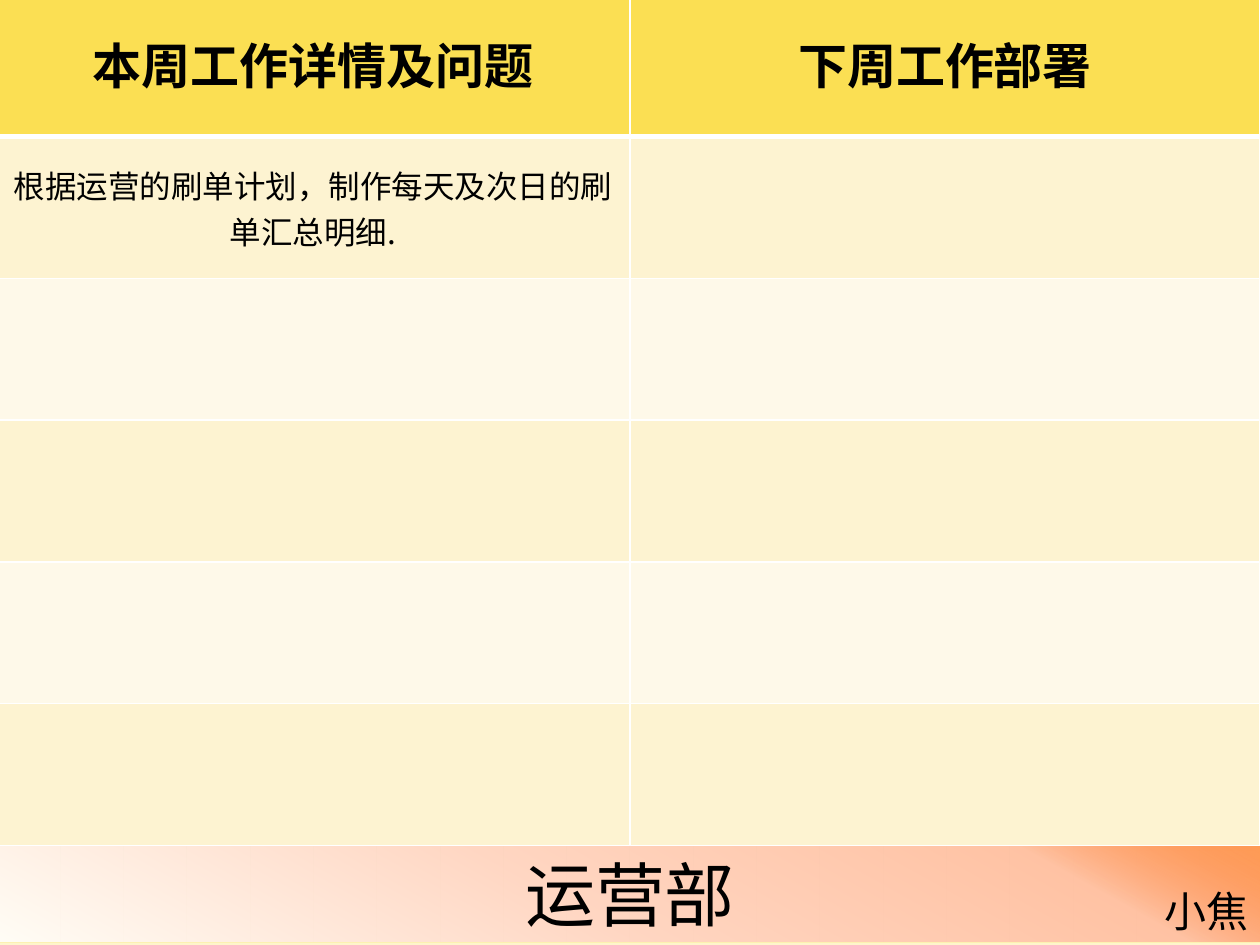
from lxml.etree import SubElement
from pptx import Presentation
from pptx.dml.color import RGBColor
from pptx.enum.shapes import MSO_SHAPE
from pptx.enum.text import MSO_ANCHOR, MSO_AUTO_SIZE, PP_ALIGN
from pptx.oxml import parse_xml
from pptx.oxml.ns import nsdecls, qn
from pptx.util import Inches, Pt

FONT = "Noto Sans CJK SC"
COLORS = {
    "text": "000000", "border": "FFFFFF", "header": "FBDF53",
    "band_dark": "FDF3D1", "band_light": "FEF9E9", "cream": "FFFDF6",
    "butter": "FDF1B2", "pale": "FEF5CB", "blush": "FFD6C2",
    "peach": "FFC2A3", "orange": "FF5D0D",
}
PAGE_STOPS = [(0, "cream", 100), (74, "butter", 100), (83, "butter", 100), (100, "pale", 100)]
FOOTER_STOPS = [(0, "cream", 100), (45, "blush", 100), (83, "peach", 100), (100, "orange", 58)]
HEADINGS = ["本周工作详情及问题", "下周工作部署"]
TASKS = [["根据运营的刷单计划，制作每天及次日的刷单汇总明细."], [], [], [], []]


def rgb(name):
    return RGBColor.from_string(COLORS[name])


def apply_gradient(fill, owner, stops, angle):
    fill.gradient()
    gradient = owner.find(".//" + qn("a:gradFill"))
    stop_list = gradient.find(qn("a:gsLst"))
    for stop in list(stop_list):
        stop_list.remove(stop)
    for position, color, opacity in stops:
        stop = SubElement(stop_list, qn("a:gs"), pos=str(position * 1000))
        shade = SubElement(stop, qn("a:srgbClr"), val=COLORS[color])
        if opacity < 100:
            SubElement(shade, qn("a:alpha"), val=str(opacity * 1000))
    direction = gradient.find(qn("a:lin"))
    direction.set("ang", str(angle * 60000))
    direction.set("scaled", "0")


def write(frame, text, size, align, bold=False):
    paragraph = frame.paragraphs[0]
    paragraph.alignment = align
    run = paragraph.add_run()
    run.text = text
    for key, value in {"name": FONT, "size": Pt(size), "bold": bold}.items():
        setattr(run.font, key, value)
    run.font.color.rgb = rgb("text")
    SubElement(run.font._element, qn("a:ea"), typeface=FONT)


def style_cell(cell, color, top, bottom):
    cell.fill.solid()
    cell.fill.fore_color.rgb = rgb(color)
    cell.vertical_anchor = MSO_ANCHOR.MIDDLE
    sides = {"lnL": 1, "lnR": 1, "lnT": top, "lnB": bottom}
    for index, (side, width) in enumerate(sides.items()):
        cell._tc.get_or_add_tcPr().insert(index, parse_xml(
            f'<a:{side} {nsdecls("a")} w="{Pt(width)}"><a:solidFill>'
            f'<a:srgbClr val="{COLORS["border"]}"/></a:solidFill></a:{side}>'))


def add_work_plan(slide, left, top, width, height):
    row_count = len(TASKS) + 1
    plan = slide.shapes.add_table(row_count, 2, Inches(left), Inches(top),
                                  Inches(width), Inches(height)).table
    plan.columns[0].width = Inches(width - 5)
    plan.columns[1].width = Inches(5)
    for row in plan.rows:
        row.height = Inches(height / row_count)
    margins = {"margin_left": 0.01, "margin_right": 0.01,
               "margin_top": 0.01, "margin_bottom": 0.05}
    for column, heading in enumerate(HEADINGS):
        cell = plan.cell(0, column)
        style_cell(cell, "header", 1, 3)
        for key, value in margins.items():
            setattr(cell, key, Inches(value))
        write(cell.text_frame, heading, 28, PP_ALIGN.CENTER, True)
    for row, tasks in enumerate(TASKS, 1):
        for column in range(2):
            style_cell(plan.cell(row, column), "band_dark" if row % 2 else "band_light",
                       3 if row == 1 else 1, 1)
        for column, task in enumerate(tasks):
            write(plan.cell(row, column).text_frame, task, 18, PP_ALIGN.CENTER)


def add_footer(slide, left, top, width, height):
    department = slide.shapes.add_shape(MSO_SHAPE.RECTANGLE, Inches(left), Inches(top),
                                        Inches(width), Inches(height))
    department.shadow.inherit = False
    apply_gradient(department.fill, department._element, FOOTER_STOPS, 299)
    department.line.color.rgb = rgb("butter")
    department.line.width = Pt(0.75)
    department.text_frame.vertical_anchor = MSO_ANCHOR.MIDDLE
    write(department.text_frame, "运营部", 40, PP_ALIGN.CENTER)

    author = slide.shapes.add_textbox(Inches(left + width - 0.88), Inches(top + 0.27),
                                      Inches(0.87), Inches(0.5))
    frame_format = {"word_wrap": False, "auto_size": MSO_AUTO_SIZE.SHAPE_TO_FIT_TEXT}
    for key, value in frame_format.items():
        setattr(author.text_frame, key, value)
    write(author.text_frame, "小焦", 24, PP_ALIGN.RIGHT)


def build_report():
    deck = Presentation()
    deck.slide_width, deck.slide_height = Inches(10), Inches(7.5)
    slide = deck.slides.add_slide(deck.slide_layouts[6])
    apply_gradient(slide.background.fill, slide._element, PAGE_STOPS, 90)
    add_footer(slide, -0.02, 6.71, 10.04, 0.77)
    add_work_plan(slide, -0.03, -0.04, 10.03, 6.75)
    deck.save("out.pptx")


build_report()
